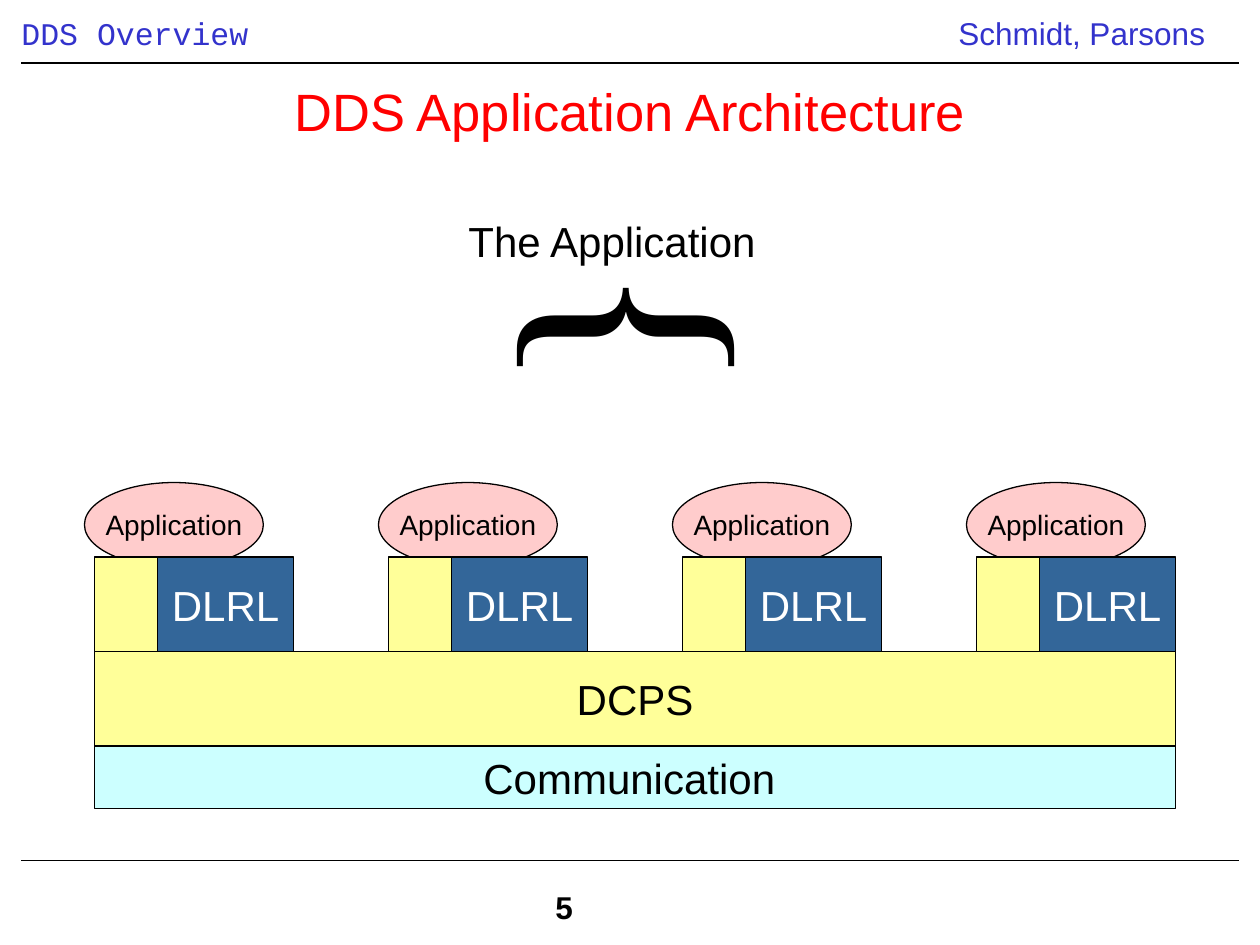
from lxml import etree
from pptx import Presentation
from pptx.dml.color import RGBColor
from pptx.enum.shapes import MSO_CONNECTOR, MSO_SHAPE
from pptx.enum.text import MSO_ANCHOR, MSO_AUTO_SIZE, PP_ALIGN
from pptx.oxml.ns import qn
from pptx.util import Inches, Pt

COLORS = {
    "black": "000000",
    "white": "FFFFFF",
    "header": "3333CC",
    "title": "FF0000",
    "dcps": "FFFF99",
    "dlrl": "336699",
    "application": "FFCCCC",
    "communication": "CCFFFF",
}
NODE_COUNT = 4
NODE_WIDTH = 1.58


def color(name):
    return RGBColor.from_string(COLORS[name])


def inches(box):
    return [Inches(value) for value in box]


def write(shape, text, size=24, font="Arial", text_color="black", bold=False,
          align=PP_ALIGN.LEFT, anchor=MSO_ANCHOR.TOP, wrap=True, grow=False, inset=0.1):
    frame = shape.text_frame
    frame.word_wrap = wrap
    frame.auto_size = MSO_AUTO_SIZE.SHAPE_TO_FIT_TEXT if grow else MSO_AUTO_SIZE.NONE
    frame.vertical_anchor = anchor
    frame.margin_left = frame.margin_right = Inches(inset)
    paragraph = frame.paragraphs[0]
    paragraph.alignment = align
    run = paragraph.add_run()
    run.text = text
    run.font.name = font
    run.font.size = Pt(size)
    run.font.bold = bold
    run.font.color.rgb = color(text_color)


def add_text(slide, box, text, **style):
    shape = slide.shapes.add_textbox(*inches(box))
    write(shape, text, **style)
    return shape


def add_block(slide, box, fill, text="", kind=MSO_SHAPE.RECTANGLE, **style):
    shape = slide.shapes.add_shape(kind, *inches(box))
    shape.shadow.inherit = False
    shape.fill.solid()
    shape.fill.fore_color.rgb = color(fill)
    shape.line.color.rgb = color("black")
    shape.line.width = Pt(0.75)
    if text:
        write(shape, text, align=PP_ALIGN.CENTER, anchor=MSO_ANCHOR.MIDDLE, wrap=False, **style)


def add_rule(slide, left, top, width):
    rule = slide.shapes.add_connector(
        MSO_CONNECTOR.STRAIGHT, *inches((left, top, left + width, top)))
    rule.line.color.rgb = color("black")
    rule.line.width = Pt(0.75)
    etree.SubElement(rule._element.spPr, qn("a:effectLst"))


def add_header(slide, left, top, width):
    add_text(slide, (left, top, 5.92, 0.4), "DDS Overview",
             size=18, font="Courier New", text_color="header", inset=0)
    add_text(slide, (left + width - 2.5, top, 2.51, 0.4), "Schmidt, Parsons",
             size=18, text_color="header", align=PP_ALIGN.CENTER)
    add_rule(slide, left, top + 0.44, width)


def add_footer(slide, left, top, width):
    add_rule(slide, left, top, width)
    add_text(slide, (left + 4.14, top + 0.17, 1.41, 0.4), "5", size=18, bold=True)


def add_node(slide, left, top):
    add_block(slide, (left - 0.08, top, 1.42, 0.67), "application", "Application",
              kind=MSO_SHAPE.OVAL, size=16)
    add_block(slide, (left + 0.5, top + 0.59, NODE_WIDTH - 0.5, 0.75), "dlrl", "DLRL",
              text_color="white")
    add_block(slide, (left, top + 0.59, 0.5, 0.75), "dcps")


def add_architecture(slide, left, top, width):
    add_block(slide, (left, top + 1.34, width, 0.75), "dcps", "DCPS")
    pitch = (width - NODE_WIDTH) / (NODE_COUNT - 1)
    for index in range(NODE_COUNT):
        add_node(slide, left + index * pitch, top)
    add_block(slide, (left, top + 2.09, width, 0.5), "communication", "Communication ")


def add_application_label(slide, left, top):
    add_text(slide, (left, top, 2.5, 0.5), "The Application", wrap=False, grow=True)
    brace = add_text(slide, (left + 1, top - 0.36, 1.2, 2.6), "{",
                     size=150, font="Times New Roman", wrap=False, grow=True)
    brace.rotation = 90


def main():
    presentation = Presentation()
    presentation.slide_width = Inches(10)
    presentation.slide_height = Inches(7.5)
    slide = presentation.slides.add_slide(presentation.slide_layouts[6])
    add_header(slide, 0.17, 0.06, 9.66)
    add_footer(slide, 0.17, 6.83, 9.66)
    add_text(slide, (0.75, 0.25, 8.5, 1.25), "DDS Application Architecture",
             size=30, text_color="title", align=PP_ALIGN.CENTER, anchor=MSO_ANCHOR.MIDDLE)
    add_architecture(slide, 0.75, 3.83, 8.58)
    add_application_label(slide, 3.62, 1.66)
    presentation.save("out.pptx")


if __name__ == "__main__":
    main()
